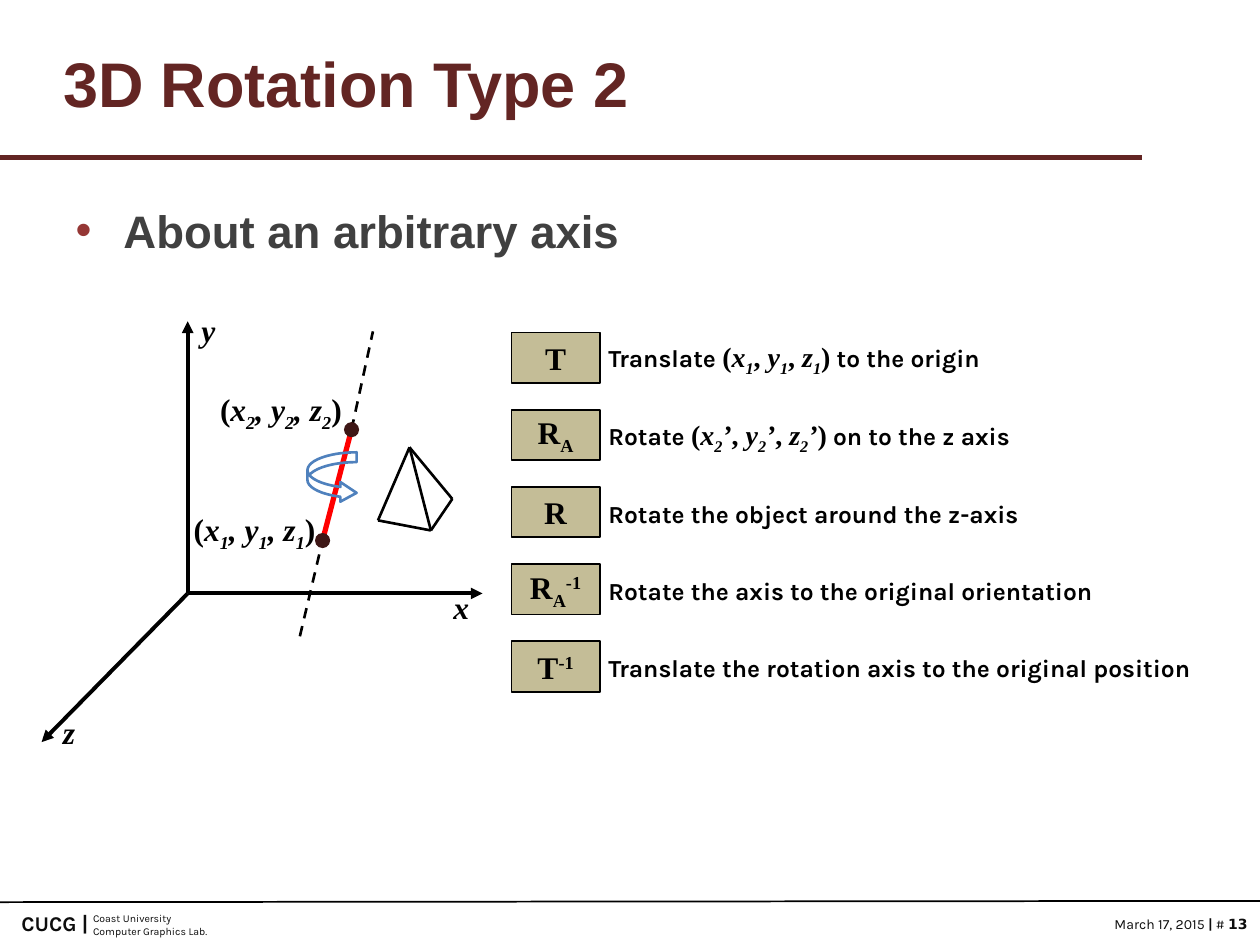
from dataclasses import dataclass

from lxml.etree import SubElement
from pptx import Presentation
from pptx.dml.color import RGBColor
from pptx.enum.dml import MSO_LINE
from pptx.enum.shapes import MSO_CONNECTOR, MSO_SHAPE
from pptx.enum.text import MSO_ANCHOR, PP_ALIGN
from pptx.oxml.ns import qn
from pptx.util import Inches, Pt


@dataclass(frozen=True)
class Theme:
    # Colours
    title: str = "632523"
    body: str = "404040"
    bullet: str = "953735"
    ink: str = "000000"
    footer: str = "0D0D0D"
    step_fill: str = "C4BD97"
    segment: str = "FF0000"
    turn: str = "4F81BD"
    dot: str = "3E1716"
    # Fonts
    heading_font: str = "Arial"
    label_font: str = "Karla"
    math_font: str = "Times New Roman"
    number_font: str = "DejaVu Sans"
    # Type sizes
    title_size: int = 36
    body_size: int = 26
    math_size: int = 18
    inline_size: int = 16
    label_size: int = 14
    mark_size: int = 12
    date_size: int = 8
    lab_size: int = 6


THEME = Theme()


@dataclass(frozen=True)
class Box:
    left: float
    top: float
    width: float
    height: float

    def inner(self, left, top, width, height):
        return Box(self.left + left, self.top + top, width, height)

    def point(self, spot):
        return Inches(self.left + spot[0]), Inches(self.top + spot[1])

    def frame(self):
        return [Inches(n) for n in (self.left, self.top, self.width, self.height)]


def set_values(target, values):
    for name, value in values.items():
        setattr(target, name, value)


def style(font, size, color=THEME.ink, bold=True, italic=False, shift=0):
    return dict(font=font, size=size, color=color, bold=bold, italic=italic, shift=shift)


MATH = style(THEME.math_font, THEME.math_size)
INLINE = style(THEME.math_font, THEME.inline_size)
LABEL = style(THEME.label_font, THEME.label_size)
SUB = dict(shift=-25000)
SUPER = dict(shift=30000)


def write(para, spans, align=PP_ALIGN.LEFT):
    """Fill a paragraph with (text, style) spans."""
    para.alignment = align
    for text, look in spans:
        span = para.add_run()
        span.text = text
        set_values(span.font, {"name": look["font"], "size": Pt(look["size"]),
                               "bold": look["bold"], "italic": look["italic"]})
        span.font.color.rgb = RGBColor.from_string(look["color"])
        if look["shift"]:
            span.font._element.set("baseline", str(look["shift"]))


def add_text(page, box, paragraphs, align=PP_ALIGN.LEFT, wrap=True, anchor=MSO_ANCHOR.TOP):
    frame = page.shapes.add_textbox(*box.frame()).text_frame
    set_values(frame, {"word_wrap": wrap, "vertical_anchor": anchor})
    for index, spans in enumerate(paragraphs):
        write(frame.add_paragraph() if index else frame.paragraphs[0], spans, align)


def add_line(page, box, start, end, color=THEME.ink, width=1.5, dash=None, arrow=False):
    line = page.shapes.add_connector(MSO_CONNECTOR.STRAIGHT, *box.point(start), *box.point(end))
    set_values(line.line, {"width": Pt(width), "dash_style": dash})
    line.line.color.rgb = RGBColor.from_string(color)
    properties = line._element.spPr
    if arrow:
        SubElement(properties.find(qn("a:ln")), qn("a:tailEnd"), type="triangle")
    SubElement(properties, qn("a:effectLst"))


def add_figure(page, kind, box, fill=None, line=None, width=1):
    shape = page.shapes.add_shape(kind, *box.frame())
    shape.shadow.inherit = False
    for part, color in ((shape.fill, fill), (shape.line.fill, line)):
        if color:
            part.solid()
            part.fore_color.rgb = RGBColor.from_string(color)
        else:
            part.background()
    if line:
        shape.line.width = Pt(width)
    return shape


def coordinates(index, base, prime="", comma_italic=False):
    """Spans for a point such as (x1, y1, z1)."""
    slanted = base | {"italic": True}
    spans = [("(", base)]
    for number, letter in enumerate("xyz"):
        if number:
            spans.append((", ", base | {"italic": comma_italic}))
        spans += [(letter, slanted), (index, slanted | SUB)]
        if prime:
            spans.append((prime, slanted))
    return spans + [(")", base)]


def place(placeholder, box):
    names = ("left", "top", "width", "height")
    set_values(placeholder, dict(zip(names, box.frame())))


def build_title(page, box):
    title = page.shapes.title
    place(title, box)
    set_values(title.text_frame, {"margin_left": Inches(0.2),
                                  "vertical_anchor": MSO_ANCHOR.MIDDLE})
    write(title.text_frame.paragraphs[0],
          [("3D Rotation Type 2", style(THEME.heading_font, THEME.title_size, THEME.title))])


def build_body(page, box):
    body = page.placeholders[1]
    place(body, box)
    para = body.text_frame.paragraphs[0]
    write(para, [("About an arbitrary axis",
                  style(THEME.heading_font, THEME.body_size, THEME.body))])
    properties = para._p.get_or_add_pPr()
    properties.set("marL", str(Inches(0.38)))
    properties.set("indent", str(-Inches(0.38)))
    SubElement(SubElement(properties, qn("a:buClr")), qn("a:srgbClr"), val=THEME.bullet)
    SubElement(properties, qn("a:buChar"), char="•")


def build_diagram(page, box):
    # Coordinate axes
    origin = (1.19, 2.31)
    for tip in ((1.19, 0.15), (3.53, 2.31), (0.03, 3.49)):
        add_line(page, box, origin, tip, width=2.25, arrow=True)
    for letter, left, top in (("x", 3.2, 2.22), ("y", 1.2, 0.02), ("z", 0.1, 3.21)):
        add_text(page, box.inner(left, top, 0.32, 0.4),
                 [[(letter, MATH | {"italic": True})]], wrap=False)

    # Rotation axis through two points
    first, second = (2.26, 1.89), (2.49, 1.01)
    add_line(page, box, first, second, THEME.segment, 3)
    for start, end in ((second, (2.66, 0.23)), ((2.08, 2.65), first)):
        add_line(page, box, start, end, dash=MSO_LINE.DASH)
    turn = add_figure(page, MSO_SHAPE.CURVED_RIGHT_ARROW, box.inner(2.14, 1.19, 0.39, 0.4),
                      line=THEME.turn, width=1.5)
    for index, value in enumerate((0.2, 0.4, 0.33)):
        turn.adjustments[index] = value
    dot = 0.12
    for x, y in (first, second):
        add_figure(page, MSO_SHAPE.OVAL, box.inner(x - dot / 2, y - dot / 2, dot, dot), THEME.dot)
    for index, left, top in (("2", 1.31, 0.65), ("1", 1.1, 1.6)):
        add_text(page, box.inner(left, top, 1.24, 0.4),
                 [coordinates(index, MATH, comma_italic=True)], PP_ALIGN.CENTER)

    # Pyramid
    apex, left, front, right = (2.95, 1.15), (2.7, 1.73), (3.12, 1.81), (3.29, 1.56)
    for start, end in ((apex, left), (left, front), (front, apex), (apex, right), (right, front)):
        add_line(page, box, start, end)


def build_steps(page, box):
    t, r, a = ("T", MATH), ("R", MATH), ("A", MATH | SUB)
    inverse = ("-1", MATH | SUPER)
    steps = [
        ([t], [("Translate ", LABEL), *coordinates("1", INLINE), (" to the origin", LABEL)]),
        ([r, a], [("Rotate ", LABEL), *coordinates("2", INLINE, "’"),
                  (" on to the z axis", LABEL)]),
        ([r], [("Rotate the object around the z-axis", LABEL)]),
        ([r, a, inverse], [("Rotate the axis to the original orientation", LABEL)]),
        ([t, inverse], [("Translate the rotation axis to the original position", LABEL)]),
    ]
    height, label_left = 0.4, 0.67
    pitch = (box.height - height) / (len(steps) - 1)
    for index, (symbol, label) in enumerate(steps):
        top = index * pitch
        key = add_figure(page, MSO_SHAPE.RECTANGLE, box.inner(0, top, 0.7, height),
                         THEME.step_fill, THEME.ink)
        set_values(key.text_frame, {"word_wrap": False, "vertical_anchor": MSO_ANCHOR.MIDDLE})
        write(key.text_frame.paragraphs[0], symbol, PP_ALIGN.CENTER)
        add_text(page, box.inner(label_left, top + 0.01, box.width - label_left, height),
                 [label], anchor=MSO_ANCHOR.MIDDLE)


def build_footer(page, box):
    small, date, mark = (style(THEME.label_font, size, THEME.footer, bold=False)
                         for size in (THEME.lab_size, THEME.date_size, THEME.mark_size))
    strong = {"bold": True}
    add_line(page, box, (0, 0.01), (box.width, 0), width=1)
    add_text(page, box.inner(-0.04, 0.03, 0.84, 0.3), [[("CUCG |", mark | strong)]],
             PP_ALIGN.RIGHT, wrap=False)
    add_text(page, box.inner(0.64, 0.04, 1.4, 0.3),
             [[("Coast University", small)], [("Computer Graphics Lab.", small)]])
    add_text(page, box.inner(8.31, 0.07, 1.69, 0.24),
             [[("March 17, 2015 ", date), ("|", date | strong), (" # ", date),
               ("13", date | strong | {"font": THEME.number_font})]],
             PP_ALIGN.RIGHT, wrap=False)


def main():
    deck = Presentation()
    set_values(deck, {"slide_width": Inches(10), "slide_height": Inches(7.5)})
    page = deck.slides.add_slide(deck.slide_layouts[1])
    build_footer(page, Box(0, 7.15, 10, 0.35))
    add_line(page, Box(0, 1.25, 9.06, 0), (0, 0), (9.06, 0), THEME.title, 3)
    build_title(page, Box(0.3, 0.22, 9, 0.87))
    build_body(page, Box(0.5, 1.56, 9, 5.31))
    build_diagram(page, Box(0.3, 2.4, 3.6, 3.6))
    build_steps(page, Box(4.06, 2.64, 5.94, 2.85))
    deck.save("out.pptx")


if __name__ == "__main__":
    main()
